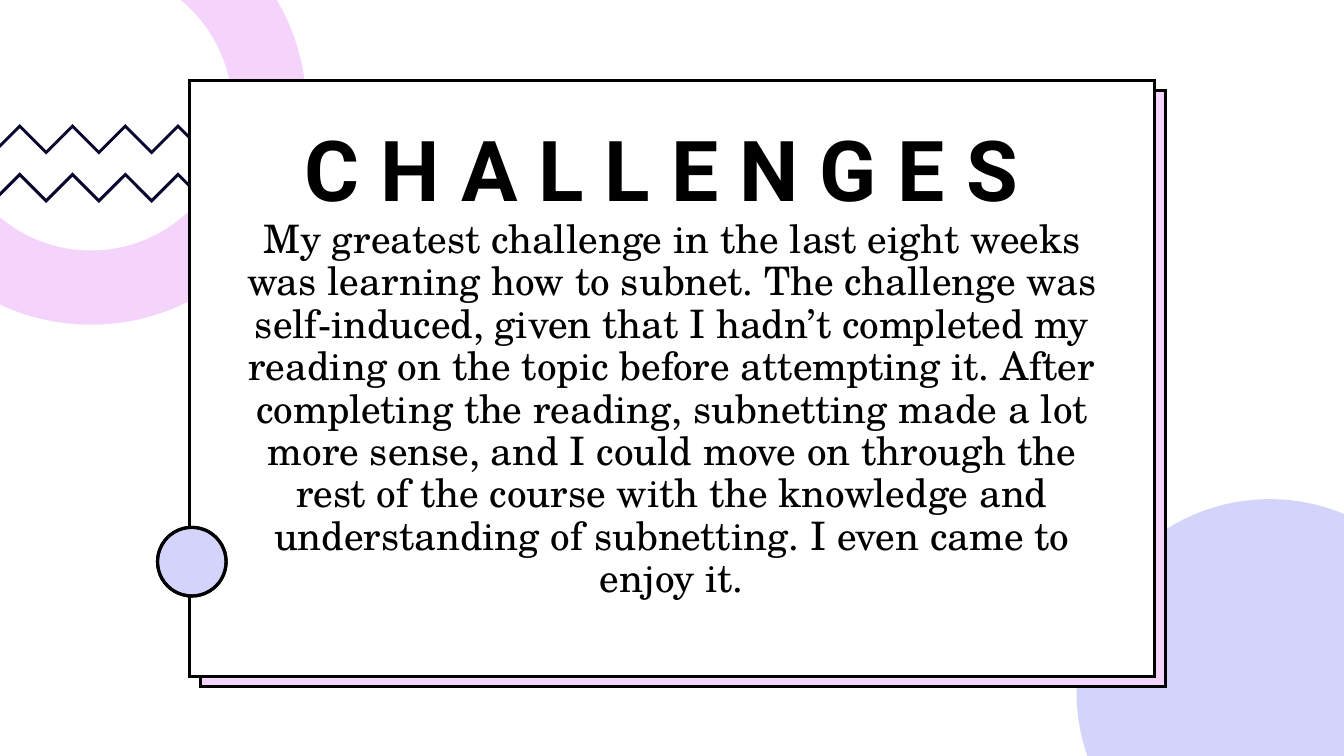
import math
from dataclasses import dataclass

import pptx
import pptx.dml.color
import pptx.enum.shapes
import pptx.enum.text
import pptx.oxml.ns
import pptx.util
from lxml import etree

Pt = pptx.util.Pt
RGB = pptx.dml.color.RGBColor.from_string
PRESET = pptx.enum.shapes.MSO_SHAPE
qn = pptx.oxml.ns.qn


@dataclass(frozen=True)
class Theme:
    paper: str = "FFFFFF"
    ink: str = "000000"
    violet: str = "2B29E7"
    magenta: str = "C929E7"
    tint: int = 20  # opacity of a tint, percent
    outline: float = 2.25
    heading_font: str = "Roboto"
    heading_size: int = 60
    heading_tracking: int = 15
    story_font: str = "TeX Gyre Schola"
    story_size: int = 28
    leading: float = 0.9


THEME = Theme()
WIDTH, HEIGHT = 960, 540

HEADING = "CHALLENGES"
STORY = (
    "My greatest challenge in the last eight weeks was learning how to subnet. "
    "The challenge was self-induced, given that I hadn’t completed my reading on "
    "the topic before attempting it. After completing the reading, subnetting made "
    "a lot more sense, and I could move on through the rest of the course with the "
    "knowledge and understanding of subnetting. I even came to enjoy it."
)


def apply(target, values):
    for name, value in values.items():
        setattr(target, name, value)


def paint(shape, color, opacity=100, outlined=False):
    shape.shadow.inherit = False
    shape.fill.solid()
    shape.fill.fore_color.rgb = RGB(color)
    if opacity < 100:
        swatch = shape.fill._xPr.find(qn("a:solidFill"))[0]
        etree.SubElement(swatch, qn("a:alpha"), val=str(opacity * 1000))
    if outlined:
        shape.line.color.rgb = RGB(THEME.ink)
        shape.line.width = Pt(THEME.outline)
        etree.SubElement(shape.line._get_or_add_ln(), qn("a:miter"), lim="800000")
    else:
        shape.line.fill.background()


def preset(slide, kind, box, color, **style):
    paint(slide.shapes.add_shape(kind, *map(Pt, box)), color, **style)


def outline_shape(slide, points, color, **style):
    corners = [(Pt(x), Pt(y)) for x, y in points]
    builder = slide.shapes.build_freeform(*corners[0], scale=1.0)
    builder.add_line_segments(corners[1:], close=True)
    paint(builder.convert_to_shape(), color, **style)


def tinted(draw, slide, *geometry, base, tint, **style):
    """An opaque base with a translucent tint over it."""
    draw(slide, *geometry, base, **style)
    draw(slide, *geometry, tint, opacity=THEME.tint, **style)


def arc(center, radius, start, end, steps=48):
    angles = [start + (end - start) * i / steps for i in range(steps + 1)]
    return [(center[0] + radius * math.cos(a), center[1] + radius * math.sin(a))
            for a in angles]


# Zigzags running in from the left edge
def add_zigzags(slide, box, rows=2, pitch=34.6, corners=8, thickness=2.9):
    left, top, width, _ = box
    step = width / (corners - 0.25)
    for row in range(rows):
        y = top + row * pitch
        upper = [(left, y + step * 0.75)]
        upper += [(left + step * (k + 0.75), y + step * (k % 2)) for k in range(corners)]
        lower = [(x, v + thickness) for x, v in reversed(upper)]
        tinted(outline_shape, slide, upper + lower, base=THEME.ink, tint=THEME.violet)


# Ring cut off by the top and left edges of its box
def add_corner_ring(slide, box, outer=154, inner=101):
    left, top, width, height = box
    center = (left + width - outer, top + height - outer)

    def cut_arc(radius):
        start = math.asin((top - center[1]) / radius)
        end = math.acos((left - center[0]) / radius)
        return arc(center, radius, start, end)

    tinted(outline_shape, slide, cut_arc(outer) + cut_arc(inner)[::-1],
           base=THEME.paper, tint=THEME.magenta)


# Disc cut off by the right and bottom edges of its box
def add_corner_disc(slide, box, radius=138):
    left, top, width, height = box
    center = (left + radius, top + radius)
    right, bottom = left + width, top + height
    start = -math.acos((right - center[0]) / radius)
    end = -math.pi - math.asin((bottom - center[1]) / radius)
    edge = arc(center, radius, start, end) + [(right, bottom)]
    tinted(outline_shape, slide, edge, base=THEME.paper, tint=THEME.violet)


# Card with its tinted backing
def add_card(slide, box, offset=(7.8, 7.2)):
    left, top, width, height = box
    backing = (left + offset[0], top + offset[1], width, height)
    tinted(preset, slide, PRESET.RECTANGLE, backing,
           base=THEME.paper, tint=THEME.magenta, outlined=True)
    preset(slide, PRESET.RECTANGLE, box, THEME.paper, outlined=True)


# Heading and story, in one paragraph
def add_message(slide, box):
    frame = slide.shapes.add_textbox(*map(Pt, box)).text_frame
    apply(frame, {"word_wrap": True,
                  "vertical_anchor": pptx.enum.text.MSO_ANCHOR.TOP})
    message = frame.paragraphs[0]
    apply(message, {"alignment": pptx.enum.text.PP_ALIGN.CENTER,
                    "line_spacing": THEME.leading})
    heading = message.add_run()
    message.add_line_break()
    story = message.add_run()
    styles = (
        (heading, HEADING, {"name": THEME.heading_font, "bold": True,
                            "size": Pt(THEME.heading_size)}),
        (story, STORY, {"name": THEME.story_font, "bold": False,
                        "size": Pt(THEME.story_size)}),
    )
    for run, words, style in styles:
        run.text = words
        apply(run.font, style)
        run.font.color.rgb = RGB(THEME.ink)
    heading.font._rPr.set("spc", str(THEME.heading_tracking * 100))


# Dot centred on the card's left side
def add_dot(slide, box):
    tinted(preset, slide, PRESET.OVAL, box,
           base=THEME.paper, tint=THEME.violet, outlined=True)


def build_challenges(slide, box):
    left, top, width, height = box
    preset(slide, PRESET.RECTANGLE, box, THEME.paper)
    add_zigzags(slide, (left, top + 88.6, 146, 56))
    add_corner_ring(slide, (left, top, 219, 232))
    add_corner_disc(slide, (left + 769, top + 356.5, width - 769, height - 356.5))
    add_card(slide, (left + 135.5, top + 57.5, 689, 425.5))
    add_message(slide, (left + 157.7, top + 88.6, 644.4, 383))
    add_dot(slide, (left + 112.5, top + 376.7, 49, 49))


def main():
    deck = pptx.Presentation()
    apply(deck, {"slide_width": Pt(WIDTH), "slide_height": Pt(HEIGHT)})
    slide = deck.slides.add_slide(deck.slide_layouts[6])
    build_challenges(slide, (0, 0, WIDTH, HEIGHT))
    deck.save("out.pptx")


if __name__ == "__main__":
    main()
